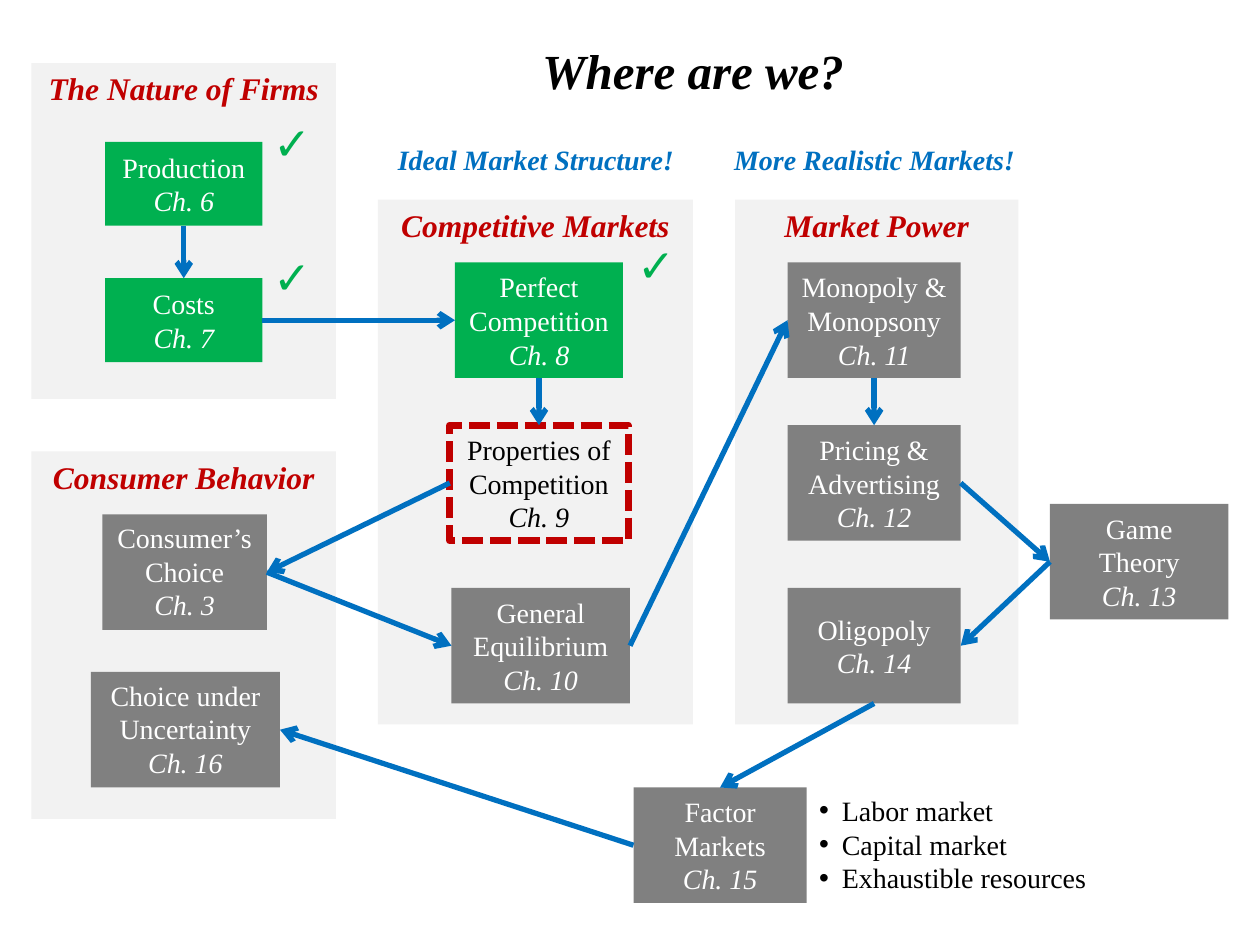
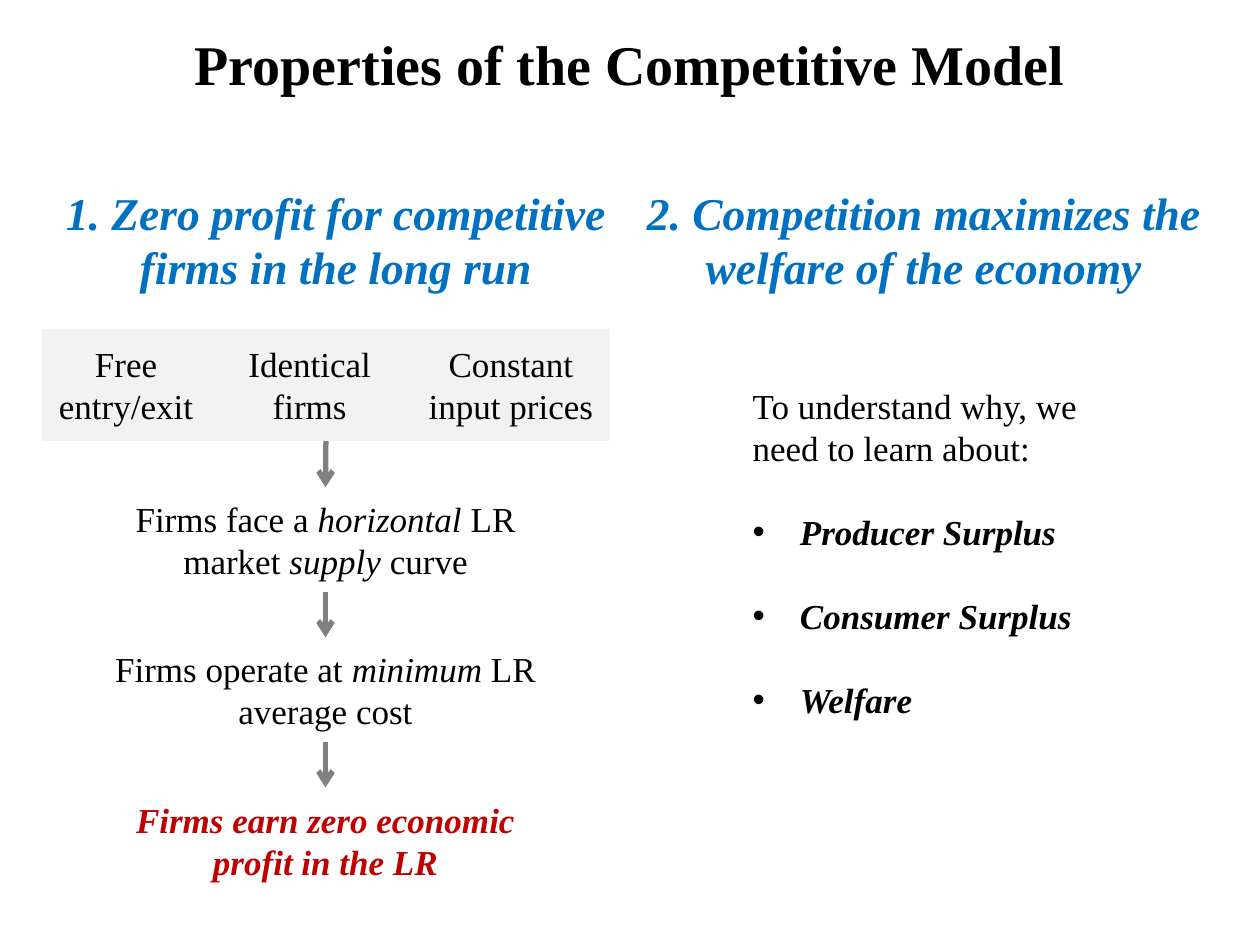
from lxml.etree import SubElement
from pptx import Presentation
from pptx.dml.color import RGBColor
from pptx.enum.dml import MSO_LINE
from pptx.enum.shapes import MSO_CONNECTOR, MSO_SHAPE
from pptx.enum.text import MSO_ANCHOR as ANCHOR, MSO_AUTO_SIZE, PP_ALIGN as ALIGN
from pptx.oxml.ns import qn
from pptx.util import Pt

COLORS = {
    "black": "000000", "white": "FFFFFF", "panel": "F2F2F2", "red": "C00000",
    "green": "00B050", "gray": "808080", "blue": "0070C0",
}
FONT = "Times New Roman"
TOP, LEFT, BOTTOM, RIGHT = range(4)


def add_text(slide, box, text, size=16, color="black", bold=False, italic=False,
             align=ALIGN.CENTER, anchor=ANCHOR.TOP, font=FONT, fill=None, dash=None,
             indent=0, bullets_from=0, title=False):
    """Lines split at newlines; underscores switch italics on and off."""
    left, top, width, height = (Pt(length) for length in box)
    if title:
        shape = slide.shapes.title
        shape.left, shape.top, shape.width, shape.height = left, top, width, height
    elif fill or dash:
        shape = slide.shapes.add_shape(MSO_SHAPE.RECTANGLE, left, top, width, height)
        shape.shadow.inherit = False
        shape.fill.background()
        shape.line.fill.background()
    else:
        shape = slide.shapes.add_textbox(left, top, width, height)
    if fill:
        shape.fill.solid()
        shape.fill.fore_color.rgb = RGBColor.from_string(COLORS[fill])
    if dash:
        shape.line.color.rgb = RGBColor.from_string(COLORS[dash])
        shape.line.width = Pt(4)
        shape.line.dash_style = MSO_LINE.SQUARE_DOT

    frame = shape.text_frame
    frame.word_wrap = True
    frame.auto_size = MSO_AUTO_SIZE.NONE
    frame.vertical_anchor = anchor
    if title:
        frame.margin_left = frame.margin_right = frame.margin_top = frame.margin_bottom = 0
    for number, line in enumerate(text.split("\n")):
        paragraph = frame.add_paragraph() if number else frame.paragraphs[0]
        paragraph.alignment = align
        for part_number, part in enumerate(line.split("_")):
            if part:
                run = paragraph.add_run()
                run.text = part
                run.font.name, run.font.size, run.font.bold = font, Pt(size), bold
                run.font.italic = italic or part_number % 2 == 1
                run.font.color.rgb = RGBColor.from_string(COLORS[color])
        if indent and number >= bullets_from:
            properties = paragraph._p.get_or_add_pPr()
            properties.set("marL", str(Pt(indent)))
            properties.set("indent", str(-Pt(indent)))
            SubElement(properties, qn("a:buFont"), typeface="Arial")
            SubElement(properties, qn("a:buChar"), char="•")
    return shape


def connect(slide, start, start_side, end, end_side, color):
    connector = slide.shapes.add_connector(MSO_CONNECTOR.STRAIGHT, 0, 0, 0, 0)
    connector.begin_connect(start, start_side)
    connector.end_connect(end, end_side)
    connector.line.color.rgb = RGBColor.from_string(COLORS[color])
    connector.line.width = Pt(3)
    SubElement(connector.line._get_or_add_ln(), qn("a:tailEnd"), type="arrow")
    SubElement(connector._element.spPr, qn("a:effectLst"))


presentation = Presentation()
presentation.slide_width, presentation.slide_height = Pt(720), Pt(540)
title_only = presentation.slide_layouts[5]

slide = presentation.slides.add_slide(title_only)
add_text(slide, (227.5, 18, 337, 44), "Where are we?", size=28, bold=True, italic=True,
         anchor=ANCHOR.MIDDLE, title=True)

for heading, box in [
    ("The Nature of Firms", (18, 36, 174, 192)),
    ("Competitive Markets", (216, 114, 180, 300)),
    ("Consumer Behavior", (18, 258, 174, 210)),
    ("Market Power", (420, 114, 162, 300)),
]:
    add_text(slide, box, heading, size=18, color="red", bold=True, italic=True, fill="panel")

chapters = {}
for chapter, topic, box, fill in [
    (6, "Production", (60, 81, 90, 48), "green"),
    (7, "Costs", (60, 159, 90, 48), "green"),
    (8, "Perfect Competition", (260, 150, 96, 66), "green"),
    (9, "Properties of Competition", (257, 243, 102, 66), None),
    (10, "General Equilibrium", (258, 336, 102, 66), "gray"),
    (3, "Consumer’s Choice", (58.5, 294, 94, 66), "gray"),
    (16, "Choice under Uncertainty", (52, 384, 108, 66), "gray"),
    (11, "Monopoly & Monopsony", (450, 150, 99, 66), "gray"),
    (12, "Pricing & Advertising", (450, 243, 99, 66), "gray"),
    (14, "Oligopoly", (450, 336, 99, 66), "gray"),
    (13, "Game Theory", (600, 288, 102, 66), "gray"),
    (15, "Factor Markets", (362, 450, 99, 66), "gray"),
]:
    chapters[chapter] = add_text(
        slide, box, f"{topic}\n_Ch. {chapter}_", color="white" if fill else "black",
        anchor=ANCHOR.TOP if chapter in (3, 16) else ANCHOR.MIDDLE,
        fill=fill, dash=None if fill else "red")

for start, start_side, end, end_side in [
    (6, BOTTOM, 7, TOP), (7, RIGHT, 8, LEFT), (8, BOTTOM, 9, TOP),
    (9, LEFT, 3, RIGHT), (3, RIGHT, 10, LEFT), (10, RIGHT, 11, LEFT),
    (11, BOTTOM, 12, TOP), (12, RIGHT, 13, LEFT), (13, LEFT, 14, RIGHT),
    (14, BOTTOM, 15, TOP), (15, LEFT, 16, RIGHT),
]:
    connect(slide, chapters[start], start_side, chapters[end], end_side, "blue")

add_text(slide, (461, 450, 193, 66), "Labor market\nCapital market\nExhaustible resources",
         align=ALIGN.LEFT, indent=13)
for left, caption in [(215.5, "Ideal Market Structure!"), (409, "More Realistic Markets!")]:
    add_text(slide, (left, 78, 181.5, 27), caption, color="blue", bold=True, italic=True)
for left, top in [(149, 62), (149, 138.5), (357, 132)]:
    add_text(slide, (left, top, 30, 39), "✓", size=26, color="green", font="Arial")

slide = presentation.slides.add_slide(title_only)
add_text(slide, (24, 0, 672, 72), "Properties of the Competitive Model", size=32, bold=True,
         anchor=ANCHOR.MIDDLE, title=True)
for left, heading in [
    (24, "1. Zero profit for competitive firms in the long run"),
    (360, "2. Competition maximizes the welfare of the economy"),
]:
    add_text(slide, (left, 102, 336, 71), heading, size=26, color="blue", bold=True, italic=True)

assumptions = add_text(slide, (24, 188, 324.5, 64), "", fill="panel")
for left, width, assumption in [
    (24, 96, "Free entry/exit"),
    (126, 102, "Identical firms"),
    (235, 114, "Constant input prices"),
]:
    add_text(slide, (left, 192, width, 56), assumption, size=20)

previous = assumptions
for number, (step, emphasis) in enumerate([
    ("Firms face a _horizontal _LR market _supply _curve", {}),
    ("Firms operate at _minimum_ LR average cost", {}),
    ("Firms earn zero economic profit in the LR", {"color": "red", "bold": True, "italic": True}),
]):
    width = 258 if number else 264
    box = (186 - width / 2, 278.5 + 85.75 * number, width, 60)
    result = add_text(slide, box, step, size=20, anchor=ANCHOR.MIDDLE, fill="white", **emphasis)
    connect(slide, previous, BOTTOM, result, TOP, "gray")
    previous = result

topics = add_text(
    slide, (423, 216, 210, 201),
    "To understand why, we need to learn about:\nProducer Surplus\nConsumer Surplus\nWelfare",
    size=20, align=ALIGN.LEFT, indent=27, bullets_from=1)
for paragraph in topics.text_frame.paragraphs[1:]:
    paragraph.space_before = Pt(24)
    for run in paragraph.runs:
        run.font.bold = run.font.italic = True

presentation.save("out.pptx")
